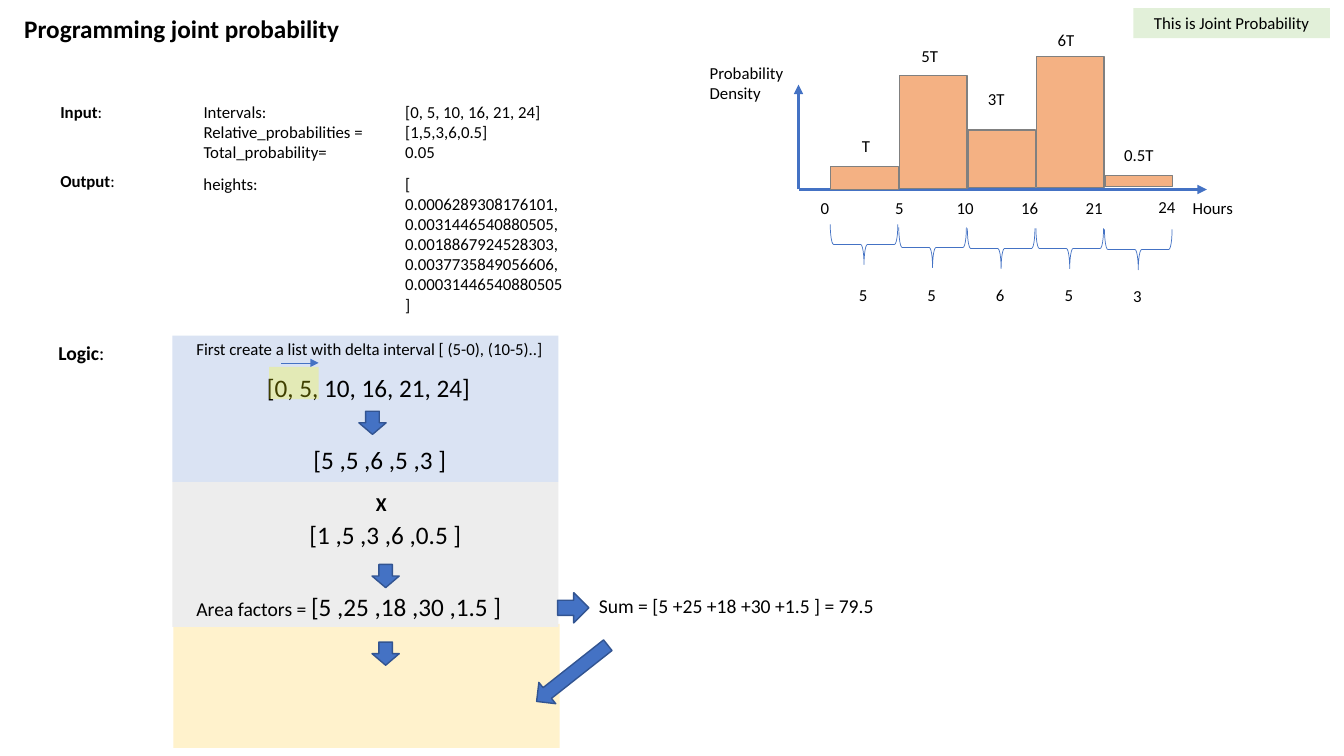
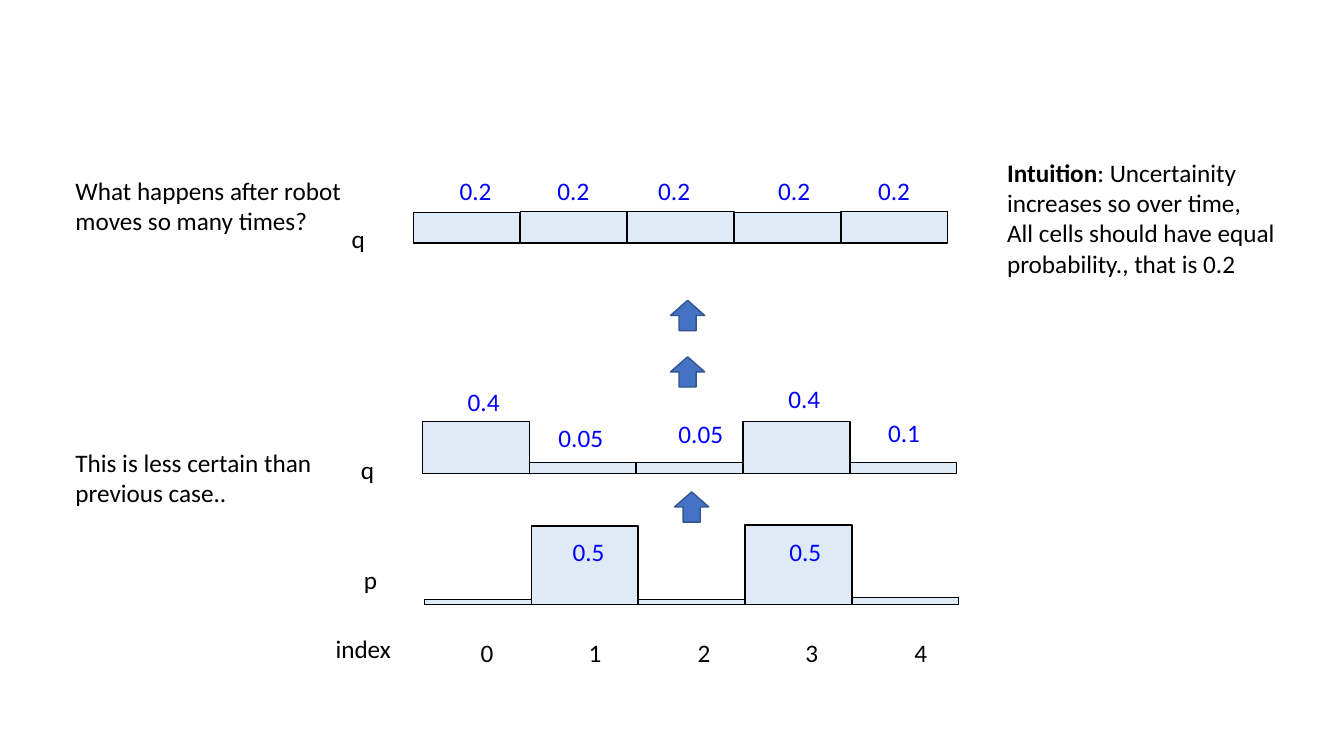
import lxml.etree
import pptx
import pptx.dml.color
import pptx.enum.shapes
import pptx.enum.text
import pptx.oxml.ns
import pptx.util

PX = 9144
FONT = "Calibri"
BLACK, BLUE, DARK_BLUE, VALUE_BLUE = "000000", "4472C4", "325491", "0000FF"
ORANGE, GREY, PALE_BLUE = "F4B183", "808080", "DEEBF7"
MSO = pptx.enum.shapes.MSO_SHAPE
ALIGN = pptx.enum.text.PP_ALIGN
ANCHOR = pptx.enum.text.MSO_ANCHOR
rgb = pptx.dml.color.RGBColor.from_string
qn = pptx.oxml.ns.qn


def add_text(s, box, paras, size, wrap=True, colour=BLACK, align=ALIGN.LEFT, sp=None):
    sp = sp or s.shapes.add_textbox(0, 0, 0, 0)
    sp.left, sp.top, sp.width, sp.height = [v * PX for v in box]
    tf = sp.text_frame
    tf.word_wrap = wrap
    tf.auto_size = pptx.enum.text.MSO_AUTO_SIZE.SHAPE_TO_FIT_TEXT
    for i, runs in enumerate(paras):
        p = tf.add_paragraph() if i else tf.paragraphs[0]
        p.alignment = align
        for text, bold, run_size in [(runs, False, size)] if isinstance(runs, str) else runs:
            r = p.add_run()
            r.text = text
            r.font.name = FONT
            r.font.size = pptx.util.Pt(run_size)
            r.font.bold = bold
            r.font.color.rgb = rgb(colour)
    return sp


def add_box(s, kind, box, fill=None, line=None, width=1, rotation=0):
    sp = s.shapes.add_shape(kind, *[v * PX for v in box])
    sp.shadow.inherit = False
    sp.rotation = rotation
    if fill:
        sp.fill.solid()
        sp.fill.fore_color.rgb = rgb(fill)
    else:
        sp.fill.background()
    if line:
        sp.line.color.rgb = rgb(line)
        sp.line.width = pptx.util.Pt(width)
    else:
        sp.line.fill.background()
    return sp


prs = pptx.Presentation()
prs.slide_width = 1333 * PX
prs.slide_height = 750 * PX

s = prs.slides.add_slide(prs.slide_layouts[5])
title = add_text(s, (14, 8, 335, 40), [[("Programming joint probability", True, 18)]], 18,
                 wrap=False, sp=s.shapes.title)
title.text_frame.vertical_anchor = ANCHOR.TOP

for box, fill in [
    ((172, 619, 383, 123), "FFF2CC"),
    ((171, 478, 383, 144), "EDEDED"),
    ((171, 333, 383, 145), "DAE3F3"),
]:
    add_box(s, MSO.RECTANGLE, box, fill)

badge = add_box(s, MSO.RECTANGLE, (1124, 8, 195, 30), "E2F0D9")
add_text(s, (1124, 8, 195, 30), ["This is Joint Probability"], 12, align=ALIGN.CENTER, sp=badge)

for x1, y1, x2, y2, width in [
    (792, 188, 792, 84, 2.25),
    (792, 188, 1197, 188, 2.25),
    (279, 360, 316, 360, 0.5),
]:
    c = s.shapes.add_connector(pptx.enum.shapes.MSO_CONNECTOR.STRAIGHT,
                               x1 * PX, y1 * PX, x2 * PX, y2 * PX)
    c.line.color.rgb = rgb(BLUE)
    c.line.width = pptx.util.Pt(width)
    sp_pr = c.element.spPr
    lxml.etree.SubElement(sp_pr.find(qn("a:ln")), qn("a:tailEnd"), type="triangle")
    lxml.etree.SubElement(sp_pr, qn("a:effectLst"))

STEP = 68
for i, (top, height, name, name_x, name_y, brace_y, delta, delta_y) in enumerate([
    (165, 23, "T", 845, 130, 209, "5", 278),
    (75, 112, "5T", 904, 40, 212, "5", 278),
    (129, 57, "3T", 970, 83, 213, "6", 278),
    (56, 130, "6T", 1039, 25, 213, "5", 278),
    (174, 11, "0.5T", 1105, 139, 214, "3", 279),
]):
    add_box(s, MSO.RECTANGLE, (824 + i * STEP, top, 67, height), ORANGE, GREY)
    add_box(s, MSO.LEFT_BRACE, (837 + i * STEP, brace_y, 40, 67), None, BLUE, 0.5, 270)
    add_text(s, (name_x, name_y, 85, 30), [name], 12)
    add_text(s, (842 + i * STEP, delta_y, 29, 30), [delta], 12)

for x, y, tick in [(804, 191, "0"), (878, 191, "5"), (939, 191, "10"),
                   (1003, 191, "16"), (1067, 191, "21"), (1139, 190, "24")]:
    add_text(s, (x, y, 51, 30), [tick], 12)

for x, y, w, h, paras in [
    (1173, 191, 132, 30, ["Hours"]),
    (694, 57, 94, 50, ["Probability", "Density"]),
    (185, 331, 369, 50, ["First create a list with delta interval [ (5-0), (10-5)..]"]),
]:
    add_text(s, (x, y, w, h), paras, 12)

for x, y, h, label, size in [
    (50, 96, 30, "Input", 12),
    (50, 164, 30, "Output", 12),
    (48, 333, 34, "Logic", 14),
]:
    add_text(s, (x, y, 94, h), [[(label, True, size), (":", False, size)]], size)

for box, paras in [
    ((192, 96, 369, 71), [
        "Intervals:\t[0, 5, 10, 16, 21, 24]",
        "Relative_probabilities =\t[1,5,3,6,0.5]",
        "Total_probability=\t0.05",
    ]),
    ((192, 167, 416, 151), [
        "heights:\t[",
        "\t0.0006289308176101,",
        "\t0.0031446540880505,",
        "\t0.0018867924528303,",
        "\t0.0037735849056606,",
        "\t0.00031446540880505",
        "\t]",
    ]),
]:
    sp = add_text(s, box, paras, 12)
    for p in sp.text_frame.paragraphs:
        p_pr = p._p.get_or_add_pPr()
        tabs = lxml.etree.SubElement(p_pr, qn("a:tabLst"))
        lxml.etree.SubElement(tabs, qn("a:tab"), pos=str(200 * PX), algn="l")

for box, runs in [
    ((255, 364, 224, 40), [("[0, 5, 10, 16, 21, 24]", False, 18)]),
    ((301, 436, 154, 40), [("[5 ,5 ,6 ,5 ,3 ]", False, 18)]),
    ((363, 483, 30, 34), [("X", True, 14)]),
    ((297, 510, 173, 40), [("[1 ,5 ,3 ,6 ,0.5 ]", False, 18)]),
    ((185, 582, 326, 40), [("Area factors = ", False, 14), ("[5 ,25 ,18 ,30 ,1.5 ]", False, 18)]),
    ((584, 584, 295, 34), [("Sum = [5 +25 +18 +30 +1.5 ] = 79.5", False, 14)]),
]:
    add_text(s, box, [runs], 18, wrap=False)

highlight = add_box(s, MSO.RECTANGLE, (267, 364, 49, 32), "FFFF00")
colour = highlight.element.spPr.find(qn("a:solidFill")).find(qn("a:srgbClr"))
lxml.etree.SubElement(colour, qn("a:alpha"), val="25000")

for kind, box, rotation in [
    (MSO.DOWN_ARROW, (356, 408, 27, 23), 0),
    (MSO.DOWN_ARROW, (369, 560, 27, 23), 0),
    (MSO.DOWN_ARROW, (369, 637, 27, 23), 0),
    (MSO.RIGHT_ARROW, (553, 588, 31, 30), 0),
    (MSO.DOWN_ARROW, (554, 623, 27, 90), 51.7),
]:
    add_box(s, kind, box, BLUE, DARK_BLUE, 1, rotation)

s = prs.slides.add_slide(prs.slide_layouts[6])
CELL = 106
for left, bottom, heights, values in [
    (421, 600, [5, 78, 5, 79, 7], [(558, 527, "0.5"), (773, 527, "0.5")]),
    (419, 470, [52, 11, 11, 52, 11],
     [(454, 378, "0.4"), (544, 414, "0.05"), (663, 410, "0.05"), (772, 375, "0.4"), (871, 409, "0.1")]),
    (410, 241, [30, 31, 31, 30, 31],
     [(x, 169, "0.2") for x in (446, 543, 643, 762, 861)]),
]:
    for i, height in enumerate(heights):
        add_box(s, MSO.RECTANGLE, (left + i * CELL, bottom - height, CELL, height), PALE_BLUE, BLACK)
    for x, y, value in values:
        add_text(s, (x, y, 13 * len(value) + 13, 40), [value], 18, wrap=False, colour=VALUE_BLUE)

for i in range(5):
    add_text(s, (467 + i * 215 // 2, 627, 34, 40), [str(i)], 18, wrap=False)

for x, y, w, label in [(323, 623, 76, "index"), (351, 555, 34, "p"),
                       (348, 446, 34, "q"), (339, 217, 34, "q")]:
    add_text(s, (x, y, w, 40), [label], 18, wrap=False)

for x, y in [(669, 488), (665, 354), (665, 298)]:
    add_box(s, MSO.UP_ARROW, (x, y, 34, 30), BLUE, DARK_BLUE)

for x, y, h, paras in [
    (65, 439, 71, ["This is less certain than previous case.."]),
    (65, 169, 71, ["What happens after robot moves so many times?"]),
    (989, 151, 131, [
        [("Intuition", True, 18), (": Uncertainity increases so over time,", False, 18)],
        "All cells should have equal",
        "probability., that is 0.2",
    ]),
]:
    add_text(s, (x, y, 299, h), paras, 18)

prs.save("out.pptx")
